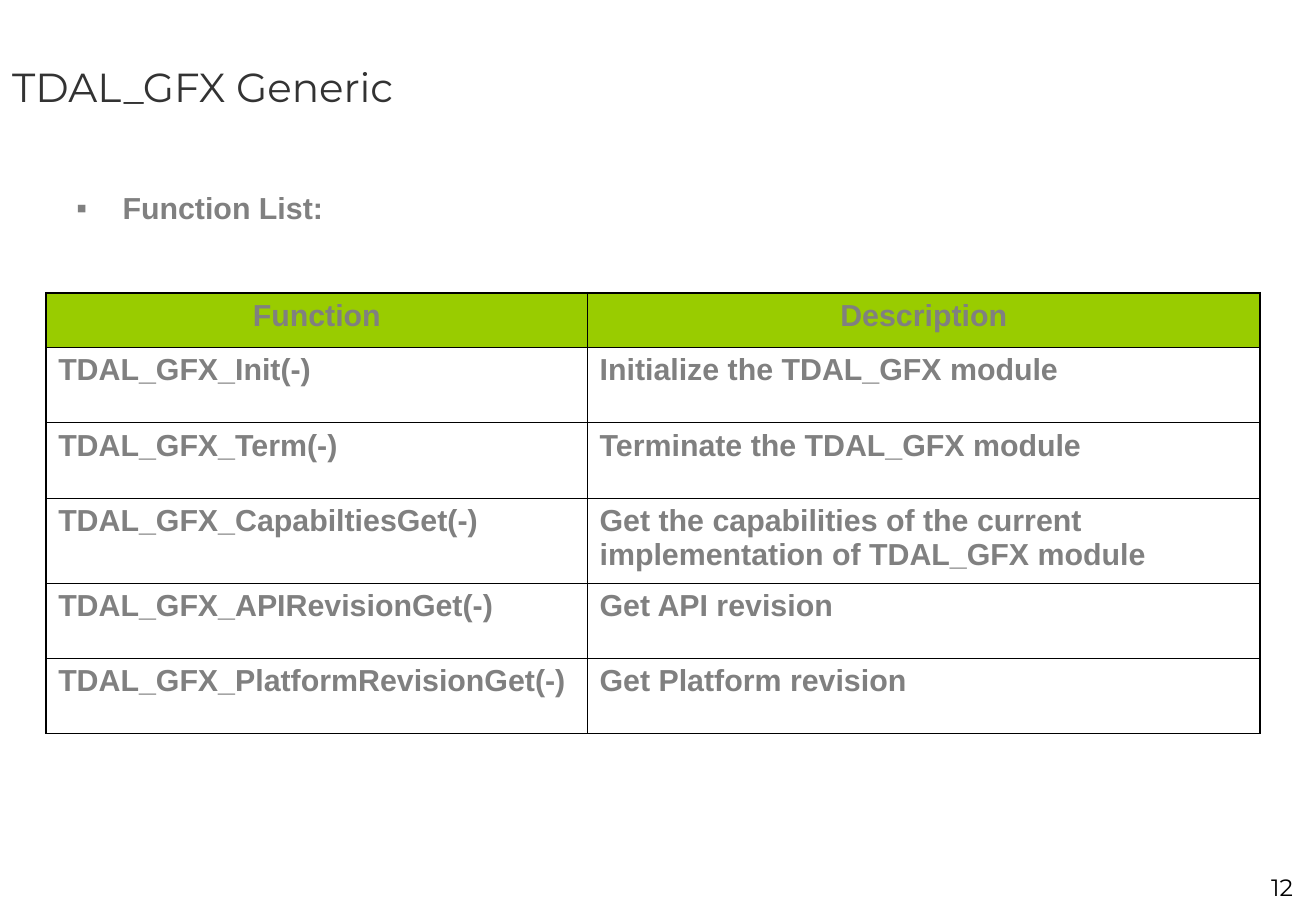
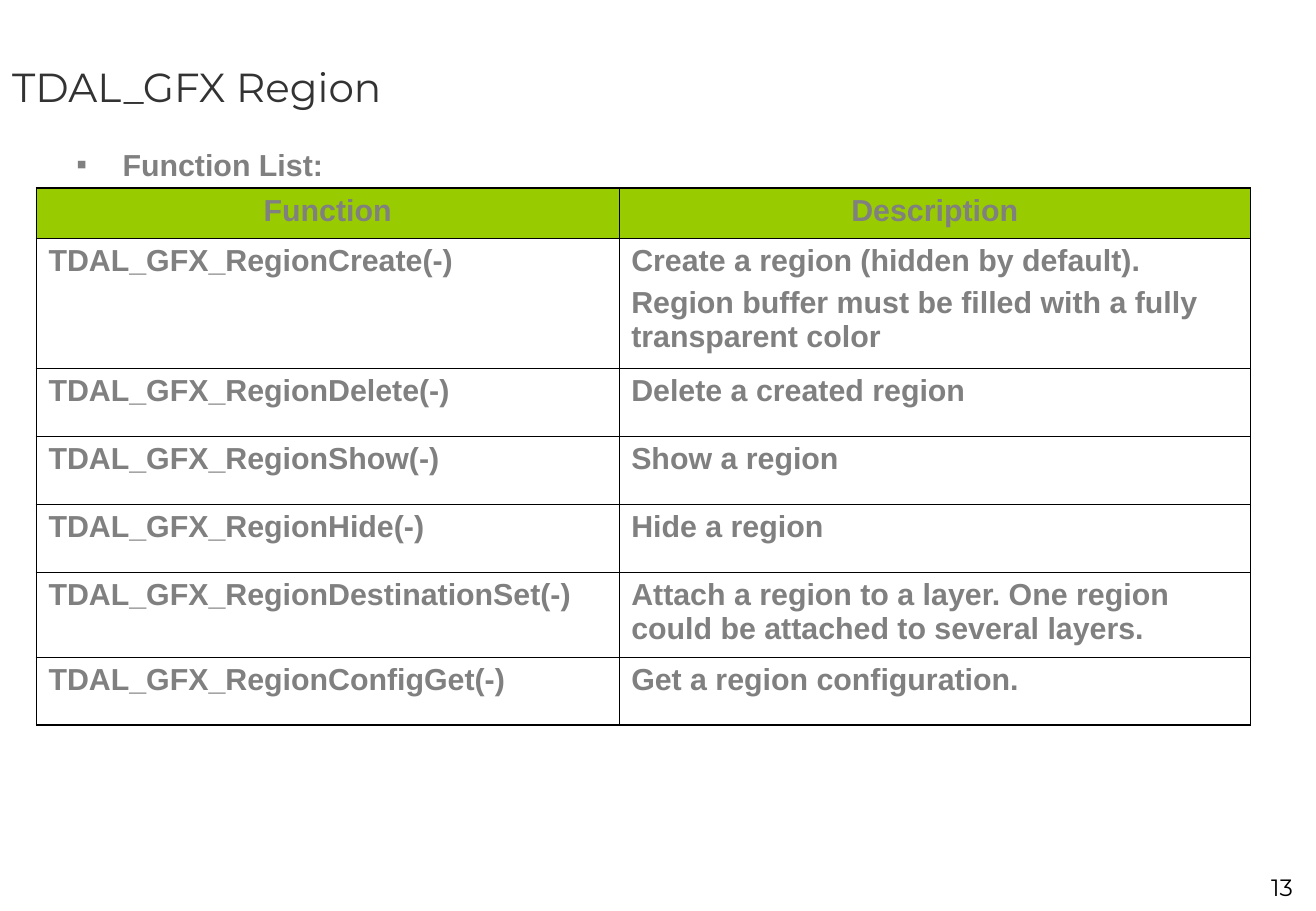
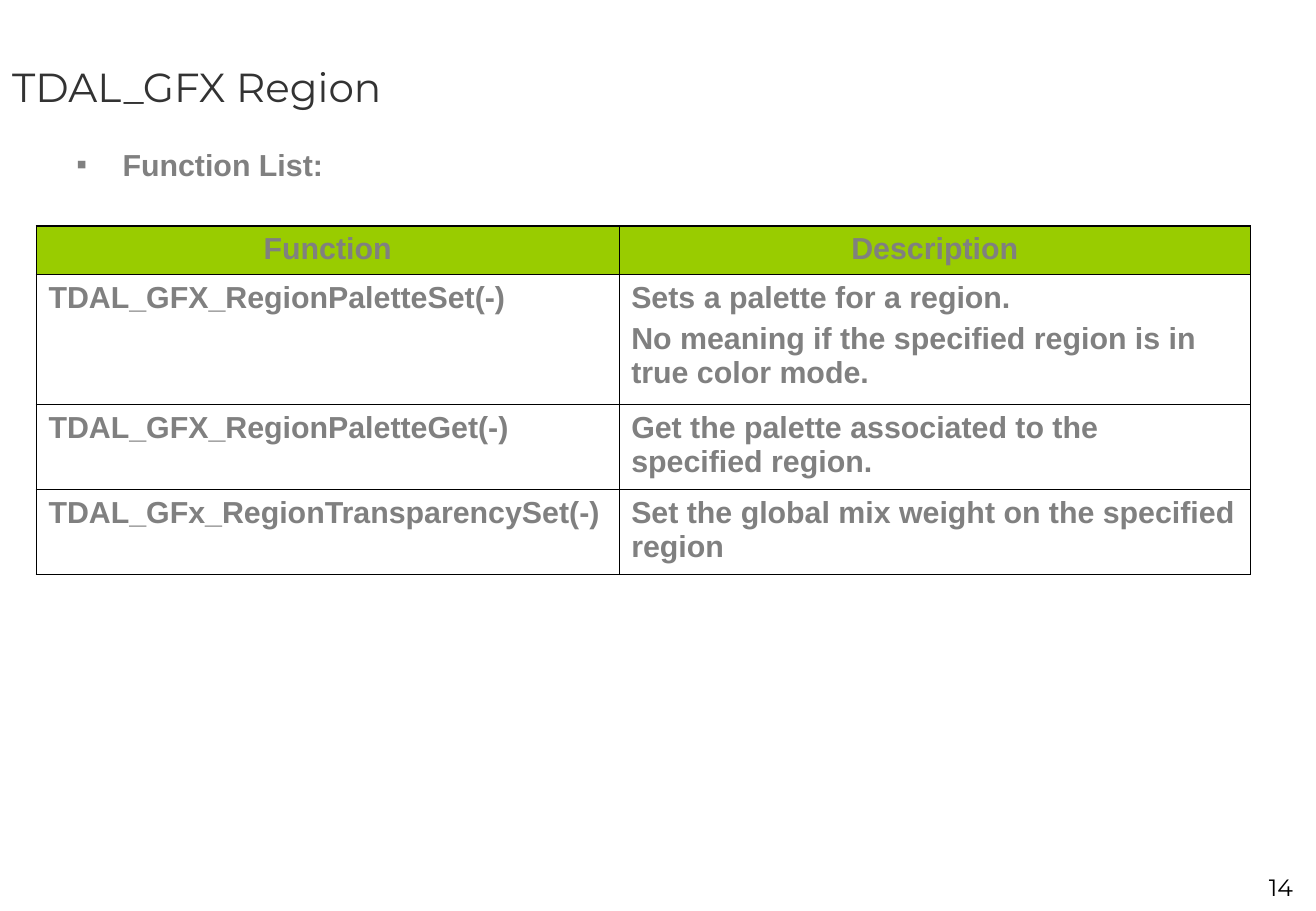
from lxml import etree
from pptx import Presentation
from pptx.dml.color import RGBColor
from pptx.enum.text import MSO_ANCHOR, MSO_AUTO_SIZE, PP_ALIGN
from pptx.oxml.ns import qn
from pptx.util import Inches, Pt

LEFT, CENTER, RIGHT = PP_ALIGN.LEFT, PP_ALIGN.CENTER, PP_ALIGN.RIGHT
MIDDLE, TOP = MSO_ANCHOR.MIDDLE, MSO_ANCHOR.TOP
NO_FIT = MSO_AUTO_SIZE.NONE

TITLE_FONT, TEXT_FONT = "Montserrat", "Arial"
TITLE_COLOR, TEXT_COLOR, HEADER_FILL, BLACK = "333333", "808080", "99CC00", "000000"
OUTER_LINE, INNER_LINE = 1.08, 0.45
SPACE_BEFORE = 4.5
BULLET_INDENT = 0.38

TITLE_BOX = (0, 0, 10.83, 1.42)
NUMBER_BOX = (9.59, 7.14, 1.16, 0.33)
LIST_LEFT, LIST_WIDTH, LIST_BOTTOM = 0.53, 9.91, 6.1

FIRST_NUMBER = 12
HEADINGS = ("Function", ["Description"])
PAGES = [
    {
        "title": "TDAL_GFX Generic",
        "list_top": 1.51,
        "table_at": (0.38, 2.41),
        "columns": (4.46, 5.54),
        "row_heights": (0.45, 0.62, 0.62, 0.7, 0.62, 0.62),
        "functions": [
            ("TDAL_GFX_Init(-)", ["Initialize the TDAL_GFX module"]),
            ("TDAL_GFX_Term(-)", ["Terminate the TDAL_GFX module"]),
            ("TDAL_GFX_CapabiltiesGet(-)",
             ["Get the capabilities of the current implementation of TDAL_GFX module"]),
            ("TDAL_GFX_APIRevisionGet(-)", ["Get API revision"]),
            ("TDAL_GFX_PlatformRevisionGet(-)", ["Get Platform revision"]),
        ],
    },
    {
        "title": "TDAL_GFX Region",
        "list_top": 1.15,
        "table_at": (0.3, 1.55),
        "columns": (4.8, 5.2),
        "row_heights": (0.41, 1.07, 0.56, 0.56, 0.56, 0.7, 0.56),
        "functions": [
            ("TDAL_GFX_RegionCreate(-)",
             ["Create a region (hidden by default).",
              "Region buffer must be filled with a fully transparent color"]),
            ("TDAL_GFX_RegionDelete(-)", ["Delete a created region"]),
            ("TDAL_GFX_RegionShow(-)", ["Show a region"]),
            ("TDAL_GFX_RegionHide(-)", ["Hide a region"]),
            ("TDAL_GFX_RegionDestinationSet(-)",
             ["Attach a region to a layer. One region could be attached to several layers."]),
            ("TDAL_GFX_RegionConfigGet(-)", ["Get a region configuration."]),
        ],
    },
    {
        "title": "TDAL_GFX Region",
        "list_top": 1.15,
        "table_at": (0.3, 1.86),
        "columns": (4.8, 5.2),
        "row_heights": (0.4, 1.07, 0.7, 0.7),
        "functions": [
            ("TDAL_GFX_RegionPaletteSet(-)",
             ["Sets a palette for a region.",
              "No meaning if the specified region is in true color mode."]),
            ("TDAL_GFX_RegionPaletteGet(-)",
             ["Get the palette associated to the specified region."]),
            ("TDAL_GFx_RegionTransparencySet(-)",
             ["Set the global mix weight on the specified region"]),
        ],
    },
]


def rgb(color):
    return RGBColor.from_string(color)


def place(shape, box):
    shape.left, shape.top, shape.width, shape.height = map(Inches, box)


def set_frame(frame, anchor):
    frame.word_wrap = True
    frame.auto_size = NO_FIT
    frame.vertical_anchor = anchor


def add_span(para, text, size, font, color, bold=False, align=LEFT):
    para.alignment = align
    span = para.add_run()
    span.text = text
    span.font.size = Pt(size)
    span.font.name = font
    span.font.bold = bold
    span.font.color.rgb = rgb(color)


def add_body_span(para, text, align=LEFT):
    """Add the bold grey text shared by the list and the table."""
    para.space_before = Pt(SPACE_BEFORE)
    add_span(para, text, 18, TEXT_FONT, TEXT_COLOR, True, align)


def set_bullet(para, char, color):
    properties = para._p.get_or_add_pPr()
    properties.set("marL", str(Inches(BULLET_INDENT)))
    properties.set("indent", str(-Inches(BULLET_INDENT)))
    bullet_color = etree.SubElement(properties, qn("a:buClr"))
    etree.SubElement(bullet_color, qn("a:srgbClr"), val=color)
    etree.SubElement(properties, qn("a:buFont"), typeface=TEXT_FONT)
    etree.SubElement(properties, qn("a:buChar"), char=char)


def set_borders(cell, outer_sides):
    properties = cell._tc.get_or_add_tcPr()
    for side in "LRTB":
        width = OUTER_LINE if side in outer_sides else INNER_LINE
        line = etree.SubElement(properties, qn("a:ln" + side), w=str(Pt(width)))
        fill = etree.SubElement(line, qn("a:solidFill"))
        etree.SubElement(fill, qn("a:srgbClr"), val=BLACK)


def add_title(page, text, box):
    title = page.shapes.title
    place(title, box)
    set_frame(title.text_frame, MIDDLE)
    add_span(title.text_frame.paragraphs[0], text, 24, TITLE_FONT, TITLE_COLOR)


def add_list(page, text, box):
    body = page.placeholders[1]
    place(body, box)
    set_frame(body.text_frame, TOP)
    para = body.text_frame.paragraphs[0]
    add_body_span(para, text)
    set_bullet(para, "▪", TEXT_COLOR)


def add_page_number(page, number, box):
    number_box = page.shapes.add_textbox(*map(Inches, box))
    set_frame(number_box.text_frame, TOP)
    add_span(number_box.text_frame.paragraphs[0], str(number), 14, TITLE_FONT, BLACK,
             align=RIGHT)


def fill_cell(cell, lines, is_header, outer_sides):
    set_borders(cell, outer_sides)
    if is_header:
        cell.fill.solid()
        cell.fill.fore_color.rgb = rgb(HEADER_FILL)
    else:
        cell.fill.background()
    frame = cell.text_frame
    for index, line in enumerate(lines):
        para = frame.add_paragraph() if index else frame.paragraphs[0]
        add_body_span(para, line, CENTER if is_header else LEFT)


def add_function_table(page, functions, position, columns, row_heights):
    rows = [HEADINGS, *functions]
    size = (sum(columns), sum(row_heights))
    table = page.shapes.add_table(len(rows), len(columns),
                                  *map(Inches, position + size)).table
    table.first_row = table.horz_banding = False
    for column, width in zip(table.columns, columns):
        column.width = Inches(width)
    for row, height in zip(table.rows, row_heights):
        row.height = Inches(height)
    for index, (name, description) in enumerate(rows):
        edge = ("T" if index == 0 else "") + ("B" if index == len(rows) - 1 else "")
        fill_cell(table.cell(index, 0), [name], index == 0, edge + "L")
        fill_cell(table.cell(index, 1), description, index == 0, edge + "R")


def add_function_page(deck, number, content):
    page = deck.slides.add_slide(deck.slide_layouts[1])
    top = content["list_top"]
    add_title(page, content["title"], TITLE_BOX)
    add_list(page, "Function List:", (LIST_LEFT, top, LIST_WIDTH, LIST_BOTTOM - top))
    add_function_table(page, content["functions"], content["table_at"],
                       content["columns"], content["row_heights"])
    add_page_number(page, number, NUMBER_BOX)


def main():
    deck = Presentation()
    deck.slide_width, deck.slide_height = Inches(10.84), Inches(7.5)
    for number, content in enumerate(PAGES, FIRST_NUMBER):
        add_function_page(deck, number, content)
    deck.save("out.pptx")


if __name__ == "__main__":
    main()
